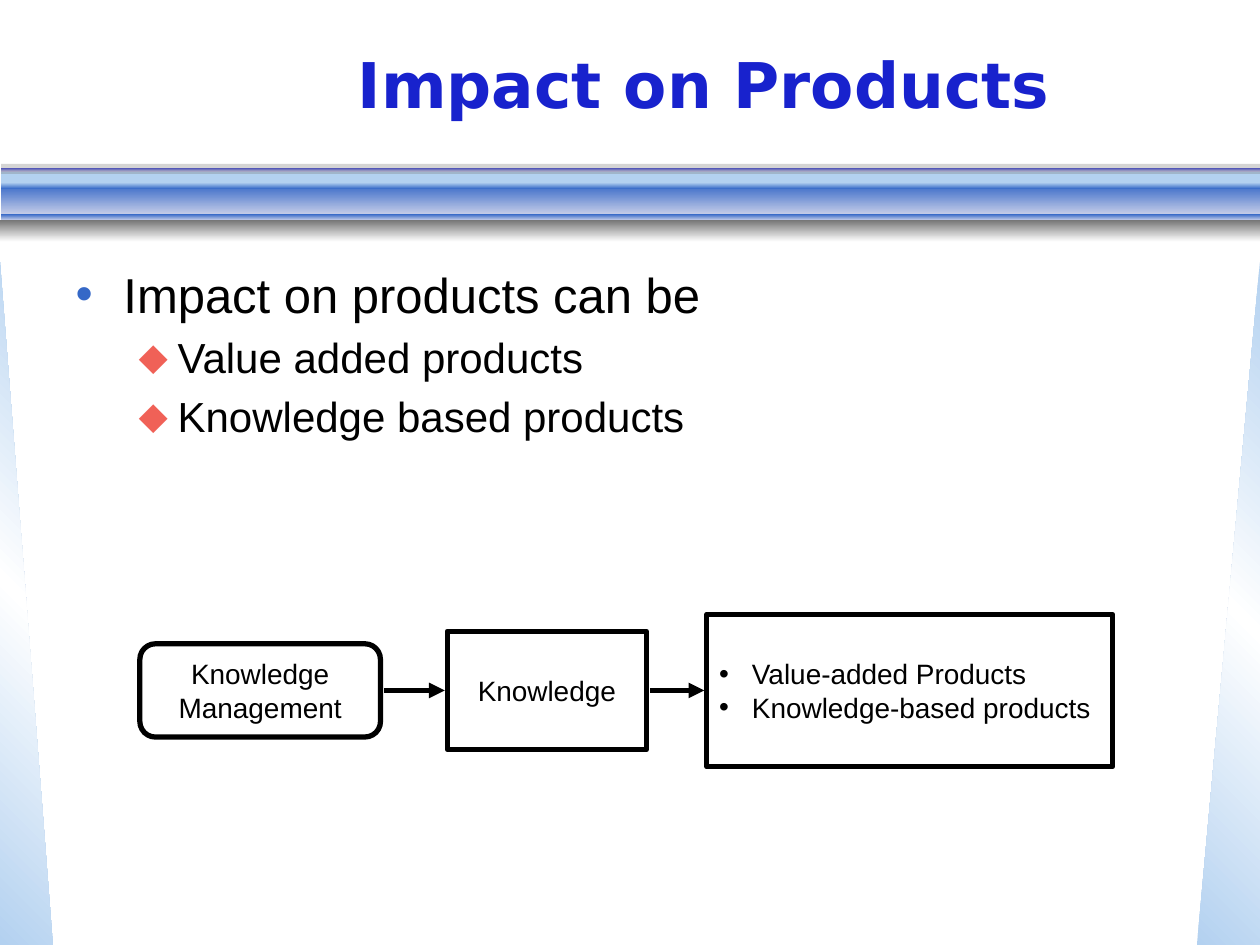
from lxml import etree
from pptx import Presentation
from pptx.dml.color import RGBColor
from pptx.enum.dml import MSO_LINE
from pptx.enum.shapes import MSO_CONNECTOR, MSO_SHAPE
from pptx.enum.text import MSO_ANCHOR, PP_ALIGN
from pptx.oxml.ns import qn
from pptx.util import Inches, Pt

RECTANGLE, ROUNDED = MSO_SHAPE.RECTANGLE, MSO_SHAPE.ROUNDED_RECTANGLE
TRIANGLE, STRAIGHT = MSO_SHAPE.RIGHT_TRIANGLE, MSO_CONNECTOR.STRAIGHT
MIDDLE, TOP = MSO_ANCHOR.MIDDLE, MSO_ANCHOR.TOP
LEFT, CENTER = PP_ALIGN.LEFT, PP_ALIGN.CENTER
SOLID = MSO_LINE.SOLID

BLACK = RGBColor(0x00, 0x00, 0x00)
NAVY = RGBColor(0x18, 0x22, 0xCD)
BLUE = RGBColor(0x35, 0x68, 0xC7)
SKY = RGBColor(0xB3, 0xD1, 0xF0)
PALE = RGBColor(0xCA, 0xD0, 0xE9)
LILAC = RGBColor(0xBA, 0xBB, 0xE7)
WHITE = RGBColor(0xFF, 0xFF, 0xFF)
GRAY = RGBColor(0x77, 0x77, 0x77)
CORAL = RGBColor(0xF0, 0x61, 0x57)

TITLE = "Impact on Products"
BODY = [
    ("Impact on products can be", 0),
    ("Value added products", 1),
    ("Knowledge based products", 1),
]
LEVELS = [
    {"size": 28, "indent": 0.38, "hang": 0.38, "mark": "•", "color": BLUE},
    {"size": 24, "indent": 0.81, "hang": 0.31, "mark": "⬥", "color": CORAL},
]
WEDGES = [(0, 0.42, 315, False), (9.5, 0.5, 45, True)]
BANDS = [
    (0.01, 1.36, 0.1, [SKY, SKY]),
    (0.01, 1.46, 0.25, [BLUE, PALE]),
    (0.01, 1.33, 0.03, [NAVY, LILAC]),
    (0.01, 1.7, 0.05, [BLUE, PALE]),
    (0.01, 1.45, 0.05, [SKY, BLUE]),
    (0, 1.75, 0.17, [GRAY, WHITE]),
]
FLOW_MIDDLE = 5.48
FLOW = [
    (ROUNDED, 1.11, 1.91, 0.74, ["Knowledge Management"], False),
    (RECTANGLE, 3.55, 1.58, 0.94, ["Knowledge"], False),
    (RECTANGLE, 5.61, 3.22, 1.21, ["Value-added Products", "Knowledge-based products"], True),
]


def style(para, size, color=BLACK, font="Arial", bold=False):
    for span in para.runs:
        span.font.name, span.font.size = font, Pt(size)
        span.font.color.rgb, span.font.bold = color, bold


def add_bullet(para, indent, hang, mark, color):
    properties = para._p.get_or_add_pPr()
    properties.set("marL", str(Inches(indent)))
    properties.set("indent", str(-Inches(hang)))
    tint = etree.SubElement(properties, qn("a:buClr"))
    etree.SubElement(tint, qn("a:srgbClr"), val=str(color))
    etree.SubElement(properties, qn("a:buFont"), typeface="Arial")
    etree.SubElement(properties, qn("a:buChar"), char=mark)


def add_plain(kind, left, top, width, height):
    shape = page.shapes.add_shape(kind, Inches(left), Inches(top), Inches(width), Inches(height))
    shape.shadow.inherit = False
    shape.fill.background()
    shape.line.fill.background()
    return shape


def fill_gradient(shape, colors, angle):
    shape.fill.gradient()
    gradient = shape._element.spPr.find(qn("a:gradFill"))
    stops = gradient.find(qn("a:gsLst"))
    for stop in list(stops):
        stops.remove(stop)
    for number, color in enumerate(colors):
        place = 100000 * number // (len(colors) - 1)
        stop = etree.SubElement(stops, qn("a:gs"), pos=str(place))
        etree.SubElement(stop, qn("a:srgbClr"), val=str(color))
    gradient.find(qn("a:lin")).set("ang", str(angle * 60000))


def draw_line(line):
    line.color.rgb = BLACK
    line.width = Pt(3)
    line.dash_style = SOLID


def add_arrow(start, end):
    arrow = page.shapes.add_connector(
        STRAIGHT, Inches(start), Inches(FLOW_MIDDLE), Inches(end), Inches(FLOW_MIDDLE))
    draw_line(arrow.line)
    etree.SubElement(arrow.line._get_or_add_ln(), qn("a:tailEnd"), type="triangle")
    etree.SubElement(arrow._element.spPr, qn("a:effectLst"))


def place(holder, left, top, width, height, anchor):
    holder.left, holder.top = Inches(left), Inches(top)
    holder.width, holder.height = Inches(width), Inches(height)
    holder.text_frame.vertical_anchor = anchor


deck = Presentation()
deck.slide_width, deck.slide_height = Inches(10), Inches(7.5)
page = deck.slides.add_slide(deck.slide_layouts.get_by_name("Title and Content"))

for left, width, angle, mirrored in WEDGES:
    wedge = add_plain(TRIANGLE, left, 2.08, width, 5.42)
    fill_gradient(wedge, [SKY, WHITE, SKY], angle)
    if mirrored:
        wedge._element.spPr.find(qn("a:xfrm")).set("flipH", "1")

for left, top, height, colors in BANDS:
    band = add_plain(RECTANGLE, left, top, 10 - left, height)
    fill_gradient(band, colors, 90)

veil = add_plain(RECTANGLE, 0.01, 1.3, 9.99, 0.08)
veil.fill.solid()
veil.fill.fore_color.rgb = GRAY
veil_color = veil._element.spPr.find(qn("a:solidFill")).find(qn("a:srgbClr"))
etree.SubElement(veil_color, qn("a:alpha"), val="31000")

title = page.shapes.title
place(title, 1.25, 0.08, 8.67, 1.17, MIDDLE)
title.text_frame.text = TITLE
title.text_frame.paragraphs[0].alignment = CENTER
style(title.text_frame.paragraphs[0], 36, NAVY, "DejaVu Sans", True)

body = page.placeholders[1]
place(body, 0.5, 2.05, 9, 4.95, TOP)
body.text_frame.text = "\n".join(text for text, level in BODY)
for para, (text, level) in zip(body.text_frame.paragraphs, BODY):
    look = LEVELS[level]
    para.level = level
    add_bullet(para, look["indent"], look["hang"], look["mark"], look["color"])
    style(para, look["size"])

for kind, left, width, height, lines, bulleted in FLOW:
    box = add_plain(kind, left, FLOW_MIDDLE - height / 2, width, height)
    draw_line(box.line)
    frame = box.text_frame
    frame.word_wrap = True
    frame.vertical_anchor = MIDDLE
    frame.text = "\n".join(lines)
    for para in frame.paragraphs:
        para.alignment = LEFT if bulleted else CENTER
        if bulleted:
            add_bullet(para, 0.26, 0.26, "•", BLACK)
        style(para, 16)

for source, target in zip(FLOW, FLOW[1:]):
    add_arrow(source[1] + source[2] + 0.03, target[1] - 0.02)

deck.save("out.pptx")
